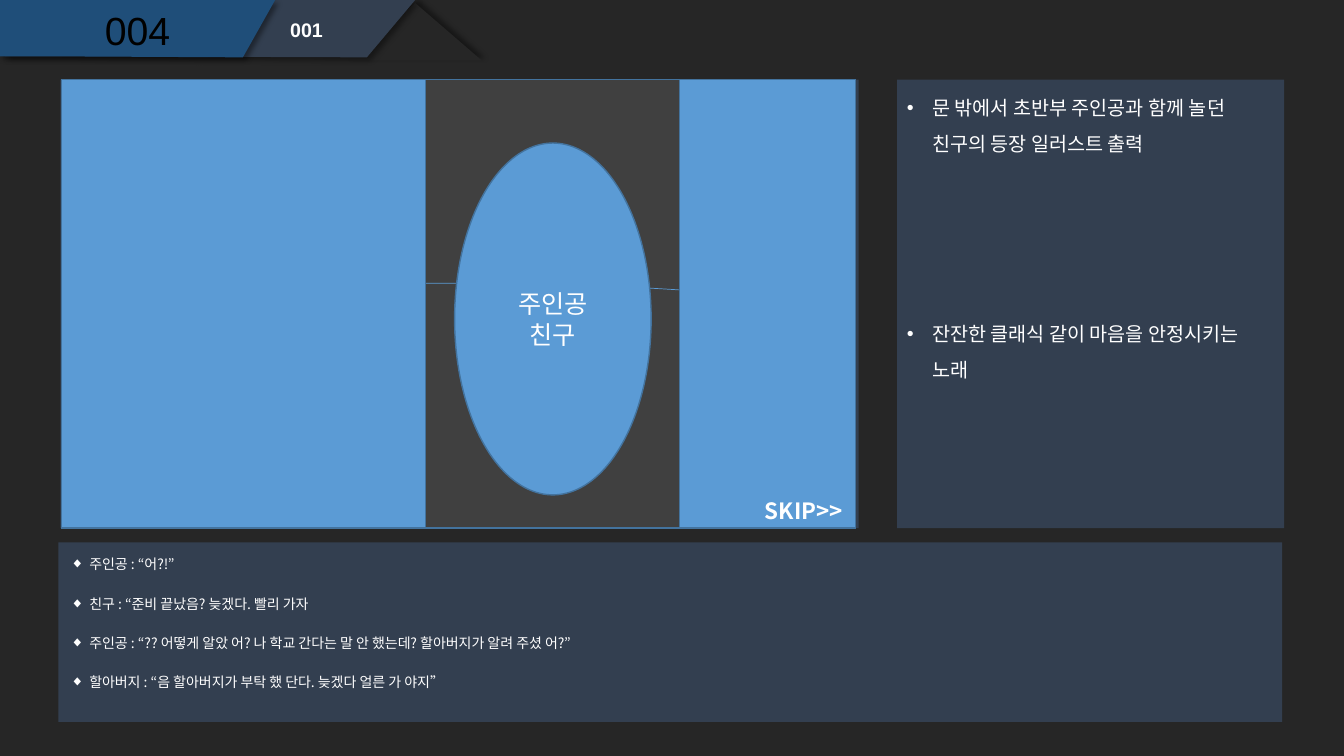
from dataclasses import dataclass
from typing import Optional

from lxml.etree import SubElement
from pptx import Presentation
from pptx.dml.color import RGBColor
from pptx.enum.shapes import MSO_SHAPE
from pptx.enum.text import MSO_ANCHOR, MSO_AUTO_SIZE, PP_ALIGN
from pptx.oxml.ns import qn
from pptx.util import Pt


@dataclass(frozen=True)
class Theme:
    backdrop: str = "262626"
    panel: str = "333F50"
    tab: str = "1F4E79"
    doorway: str = "404040"
    door: str = "5B9BD5"
    edge: str = "43739E"
    white: str = "FFFFFF"
    black: str = "000000"
    latin: str = "Arial"
    korean: str = "Noto Sans CJK KR"
    number: float = 28
    friend: float = 18
    skip: float = 16
    note: float = 14
    dialogue: float = 10


THEME = Theme()


@dataclass(frozen=True)
class Box:
    left: float
    top: float
    width: float
    height: float

    def lengths(self) -> tuple:
        return Pt(self.left), Pt(self.top), Pt(self.width), Pt(self.height)


@dataclass(frozen=True)
class Block:
    box: Box
    fill: Optional[str]
    line: Optional[str] = None
    weight: float = 1
    preset: MSO_SHAPE = MSO_SHAPE.RECTANGLE


@dataclass(frozen=True)
class Text:
    box: Box
    lines: tuple
    size: float
    font: str = THEME.korean
    color: str = THEME.white
    bold: bool = False
    align: PP_ALIGN = PP_ALIGN.LEFT
    anchor: MSO_ANCHOR = MSO_ANCHOR.TOP
    spacing: float = 1
    bullet: str = ""
    indent: float = 0
    wrap: bool = True
    grow: bool = False


def paint(shape, fill: Optional[str], line: Optional[str] = None, weight: float = 1) -> None:
    shape.shadow.inherit = False
    if fill:
        shape.fill.solid()
        shape.fill.fore_color.rgb = RGBColor.from_string(fill)
    else:
        shape.fill.background()
    if line:
        shape.line.color.rgb = RGBColor.from_string(line)
        shape.line.width = Pt(weight)
    else:
        shape.line.fill.background()


def add_block(slide, block: Block):
    shape = slide.shapes.add_shape(block.preset, *block.box.lengths())
    paint(shape, block.fill, block.line, block.weight)
    return shape


def add_tab(slide, outline: tuple, fill: str):
    start, *rest = [(Pt(x), Pt(y)) for x, y in outline]
    builder = slide.shapes.build_freeform(*start)
    builder.add_line_segments(rest, close=True)
    tab = builder.convert_to_shape()
    paint(tab, fill)
    return tab


def cast_shadow(shape, degrees: int) -> None:
    effects = shape.element.spPr.find(qn("a:effectLst"))
    shadow = SubElement(effects, qn("a:outerShdw"), blurRad=str(Pt(4)), dist=str(Pt(3)),
                        dir=str(degrees * 60000), algn="tl", rotWithShape="0")
    color = SubElement(shadow, qn("a:srgbClr"), val=THEME.black)
    SubElement(color, qn("a:alpha"), val="40000")


def write(frame, text: Text) -> None:
    grow = MSO_AUTO_SIZE.SHAPE_TO_FIT_TEXT if text.grow else MSO_AUTO_SIZE.NONE
    frame_format = {"word_wrap": text.wrap, "auto_size": grow, "vertical_anchor": text.anchor}
    for name, value in frame_format.items():
        setattr(frame, name, value)
    font_format = {"name": text.font, "size": Pt(text.size), "bold": text.bold}
    for index, line in enumerate(text.lines):
        paragraph = frame.add_paragraph() if index else frame.paragraphs[0]
        paragraph.text = line
        paragraph.alignment = text.align
        paragraph.line_spacing = text.spacing
        if index:
            paragraph.space_before = Pt(10)
        if text.bullet:
            properties = paragraph._p.get_or_add_pPr()
            properties.set("marL", str(Pt(text.indent)))
            properties.set("indent", str(-Pt(text.indent)))
            SubElement(properties, qn("a:buFont"), typeface=THEME.latin)
            SubElement(properties, qn("a:buChar"), char=text.bullet)
        for run in paragraph.runs:
            for name, value in font_format.items():
                setattr(run.font, name, value)
            run.font.color.rgb = RGBColor.from_string(text.color)
            SubElement(run._r.get_or_add_rPr(), qn("a:ea"), typeface=text.font)


def add_text(slide, text: Text) -> None:
    write(slide.shapes.add_textbox(*text.box.lengths()).text_frame, text)


SCENE = Box(43.9, 56.9, 567.4, 320.4)
FRIEND = Box(324.7, 102.2, 140.4, 251.3)

PANELS = (
    Block(Box(43.2, 56.9, 570.2, 320.4), THEME.panel),
    Block(Box(640.8, 56.9, 276.5, 320.4), THEME.panel),
    Block(Box(41.8, 387.4, 874.1, 128.2), THEME.panel),
)
DOORS = (
    Block(Box(SCENE.left, SCENE.top, 259.9, SCENE.height), THEME.door, THEME.edge),
    Block(Box(485.3, SCENE.top, 126, SCENE.height), THEME.door, THEME.edge),
)
FRIEND_LABEL = Text(FRIEND, ("주인공\v친구",), THEME.friend,
                    align=PP_ALIGN.CENTER, anchor=MSO_ANCHOR.MIDDLE)
NOTES = tuple(
    Text(Box(640.8, top, 276.5, 159.1), (note,), THEME.note, spacing=1.5, bullet="•", indent=18)
    for top, note in (
        (56.9, "문 밖에서 초반부 주인공과 함께 놀던 친구의 등장 일러스트 출력"),
        (218.2, "잔잔한 클래식 같이 마음을 안정시키는 노래"),
    )
)
TEXTS = (
    Text(Box(200.2, 10.8, 72, 23), ("001",), THEME.note, THEME.latin, bold=True, spacing=0.9),
    Text(Box(43.9, 4.3, 108.7, 38.2), ("004",), THEME.number, THEME.latin, THEME.black,
         align=PP_ALIGN.CENTER, anchor=MSO_ANCHOR.MIDDLE, spacing=0.9, grow=True),
    *NOTES,
    Text(Box(43.2, 387.4, 436.3, 128.2), (
        "주인공 : “어?!”",
        "친구 : “준비 끝났음? 늦겠다. 빨리 가자",
        "주인공 : “?? 어떻게 알았 어? 나 학교 간다는 말 안 했는데? 할아버지가 알려 주셨 어?”",
        "할아버지 : “음 할아버지가 부탁 했 단다. 늦겠다 얼른 가 야지”",
    ), THEME.dialogue, spacing=1.5, bullet="◆", indent=13.5),
    Text(Box(539.3, 351.4, 72, 26.6), ("SKIP>>",), THEME.skip, bold=True, wrap=False, grow=True),
)


def main() -> None:
    deck = Presentation()
    deck.slide_width, deck.slide_height = Pt(960), Pt(540)
    slide = deck.slides.add_slide(deck.slide_layouts[6])
    slide.background.fill.solid()
    slide.background.fill.fore_color.rgb = RGBColor.from_string(THEME.backdrop)

    # Header tabs
    fold = Block(Box(249.1, 2.2, 95, 41), THEME.backdrop, preset=MSO_SHAPE.ISOSCELES_TRIANGLE)
    cast_shadow(add_block(slide, fold), 315)
    page_tab = ((3.6, 0), (296.6, 0), (262.1, 41), (64.8, 40.3), (3.6, 40.3))
    scene_tab = ((0, 0), (196.6, 0), (173.5, 41), (41, 40.3), (0, 40.3))
    for outline, fill in ((page_tab, THEME.panel), (scene_tab, THEME.tab)):
        cast_shadow(add_tab(slide, outline, fill), 45)

    # Panels and the doorway with its horizon
    for panel in PANELS:
        add_block(slide, panel)
    add_block(slide, Block(SCENE, THEME.doorway, THEME.edge))
    horizon = add_block(slide, Block(Box(SCENE.left, 202.3, SCENE.width, 56.9), None,
                                     THEME.door, 0.5, MSO_SHAPE.ARC))
    horizon.adjustments[0], horizon.adjustments[1] = 107.989, 215.75

    # Friend between the doors
    friend = add_block(slide, Block(FRIEND, THEME.door, THEME.edge, preset=MSO_SHAPE.OVAL))
    write(friend.text_frame, FRIEND_LABEL)
    for door in DOORS:
        add_block(slide, door)

    # Numbers, notes, dialogue and skip label
    for text in TEXTS:
        add_text(slide, text)
    deck.save("out.pptx")


if __name__ == "__main__":
    main()
